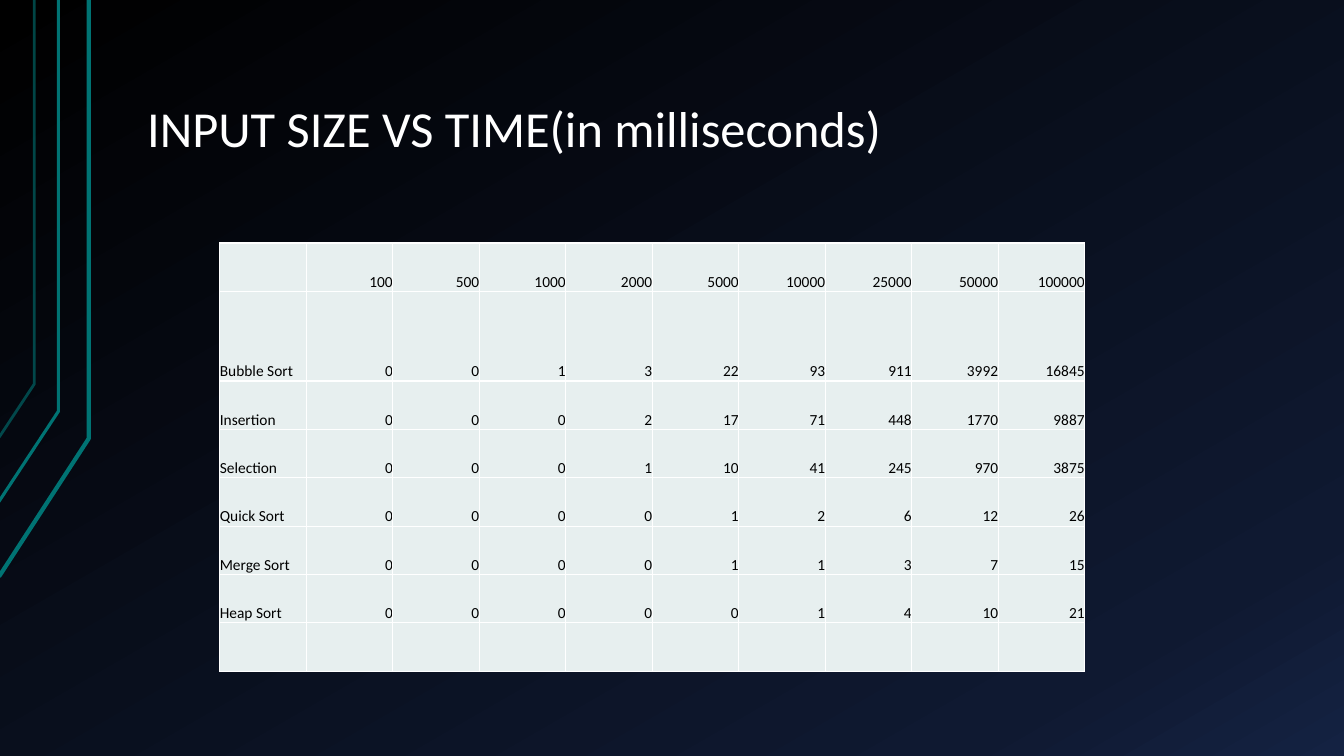
from dataclasses import dataclass

from pptx import Presentation, util as u
from pptx.dml.color import RGBColor
from pptx.enum import text
from pptx.oxml import parse_xml
from pptx.oxml.ns import nsdecls, qn


@dataclass(frozen=True)
class Theme:
    font: str = "Calibri"
    title_size: float = 36
    cell_size: float = 11
    title: str = "FFFFFF"
    ink: str = "000000"
    cell: str = "E7EFEF"
    border: str = "FFFFFF"
    accent: str = "007373"
    backdrop: tuple = ((0, "000000"), (85, "0F1931"), (100, "142242"))


T = Theme()
W, H = 13.33, 7.5

SIZES = [100, 500, 1000, 2000, 5000, 10000, 25000, 50000, 100000]
TIMES = {
    "Bubble Sort": [0, 0, 1, 3, 22, 93, 911, 3992, 16845],
    "Insertion": [0, 0, 0, 2, 17, 71, 448, 1770, 9887],
    "Selection": [0, 0, 0, 1, 10, 41, 245, 970, 3875],
    "Quick Sort": [0, 0, 0, 0, 1, 2, 6, 12, 26],
    "Merge Sort": [0, 0, 0, 0, 1, 1, 3, 7, 15],
    "Heap Sort": [0, 0, 0, 0, 0, 1, 4, 10, 21],
}


def put_text(tf, content, size, color, align=text.PP_ALIGN.LEFT, spacing=1.0):
    p = tf.paragraphs[0]
    p.alignment, p.line_spacing = align, spacing
    r = p.add_run()
    r.text = content
    r.font.name, r.font.size = T.font, u.Pt(size)
    r.font.color.rgb = RGBColor.from_string(color)


def paint_backdrop(s):
    fill = s.background.fill
    fill.gradient()
    fill.gradient_angle = 300
    stops = "".join(
        f'<a:gs pos="{pos * 1000}"><a:srgbClr val="{color}"/></a:gs>'
        for pos, color in T.backdrop)
    old = s._element.find(".//" + qn("a:gsLst"))
    old.getparent().replace(
        old, parse_xml(f'<a:gsLst {nsdecls("a")}>{stops}</a:gsLst>'))


def draw_bent_lines(s, left, top):
    # Foot x and y, bend x and y in hundredths of an inch; width; opacity
    for foot_x, foot_y, x, y, width, opacity in (
            (-1, 572, 88, 435, 3, 100),
            (-2, 499, 58, 408, 2.25, 100),
            (-1, 434, 34, 381, 2, 60)):
        fb = s.shapes.build_freeform(foot_x, foot_y, scale=u.Inches(0.01))
        fb.add_line_segments([(x, y), (x, 0)], close=False)
        sp = fb.convert_to_shape(u.Inches(left), u.Inches(top))
        sp.shadow.inherit = False
        sp.fill.background()
        sp.line.width = u.Pt(width)
        sp.line.color.rgb = RGBColor.from_string(T.accent)
        if opacity < 100:
            sp.line._ln.find(".//" + qn("a:srgbClr")).append(parse_xml(
                f'<a:alpha {nsdecls("a")} val="{opacity * 1000}"/>'))


def place_title(s, left, top, width, height, content):
    sp = s.shapes.title
    sp.left, sp.top = u.Inches(left), u.Inches(top)
    sp.width, sp.height = u.Inches(width), u.Inches(height)
    tf = sp.text_frame
    tf.word_wrap = True
    tf.auto_size = text.MSO_AUTO_SIZE.NONE
    tf.vertical_anchor = text.MSO_ANCHOR.BOTTOM
    tf.margin_left = tf.margin_right = u.Inches(0.13)
    tf.margin_top = tf.margin_bottom = u.Inches(0.07)
    put_text(tf, content, T.title_size, T.title, spacing=0.9)


def style_cell(cell):
    cell.margin_left = cell.margin_right = 0
    cell.margin_top = cell.margin_bottom = 0
    cell.vertical_anchor = text.MSO_ANCHOR.BOTTOM
    for side in "LRTB":
        cell._tc.get_or_add_tcPr().append(parse_xml(
            f'<a:ln{side} {nsdecls("a")} w="{u.Pt(1)}"><a:solidFill>'
            f'<a:srgbClr val="{T.border}"/></a:solidFill></a:ln{side}>'))
    cell.fill.solid()
    cell.fill.fore_color.rgb = RGBColor.from_string(T.cell)


def build_timing_table(s, left, top, width, height):
    # Header, one row per algorithm, and an empty closing row
    blank = [""] * (len(SIZES) + 1)
    rows = [["", *SIZES], *([name, *ms] for name, ms in TIMES.items()), blank]
    table = s.shapes.add_table(len(rows), len(blank), u.Inches(left),
                               u.Inches(top), u.Inches(width),
                               u.Inches(height)).table
    table.first_row = table.horz_banding = False

    # The first algorithm takes a taller row
    tall = 0.89
    short = (height - tall) / (len(rows) - 1)
    for i, row in enumerate(rows):
        table.rows[i].height = u.Inches(tall if i == 1 else short)
        for j, value in enumerate(row):
            cell = table.cell(i, j)
            style_cell(cell)
            if value != "":
                align = text.PP_ALIGN.RIGHT if j else text.PP_ALIGN.LEFT
                put_text(cell.text_frame, str(value), T.cell_size, T.ink, align)


def main():
    prs = Presentation()
    prs.slide_width, prs.slide_height = u.Inches(W), u.Inches(H)
    s = prs.slides.add_slide(prs.slide_layouts[5])
    paint_backdrop(s)
    draw_bent_lines(s, 0, 0)
    place_title(s, 1.33, 0.3, 0.85 * W, 1.34,
                "INPUT SIZE VS TIME(in milliseconds)")
    build_timing_table(s, 2.18, 2.41, 8.58, 4.25)
    prs.save("out.pptx")


if __name__ == "__main__":
    main()
